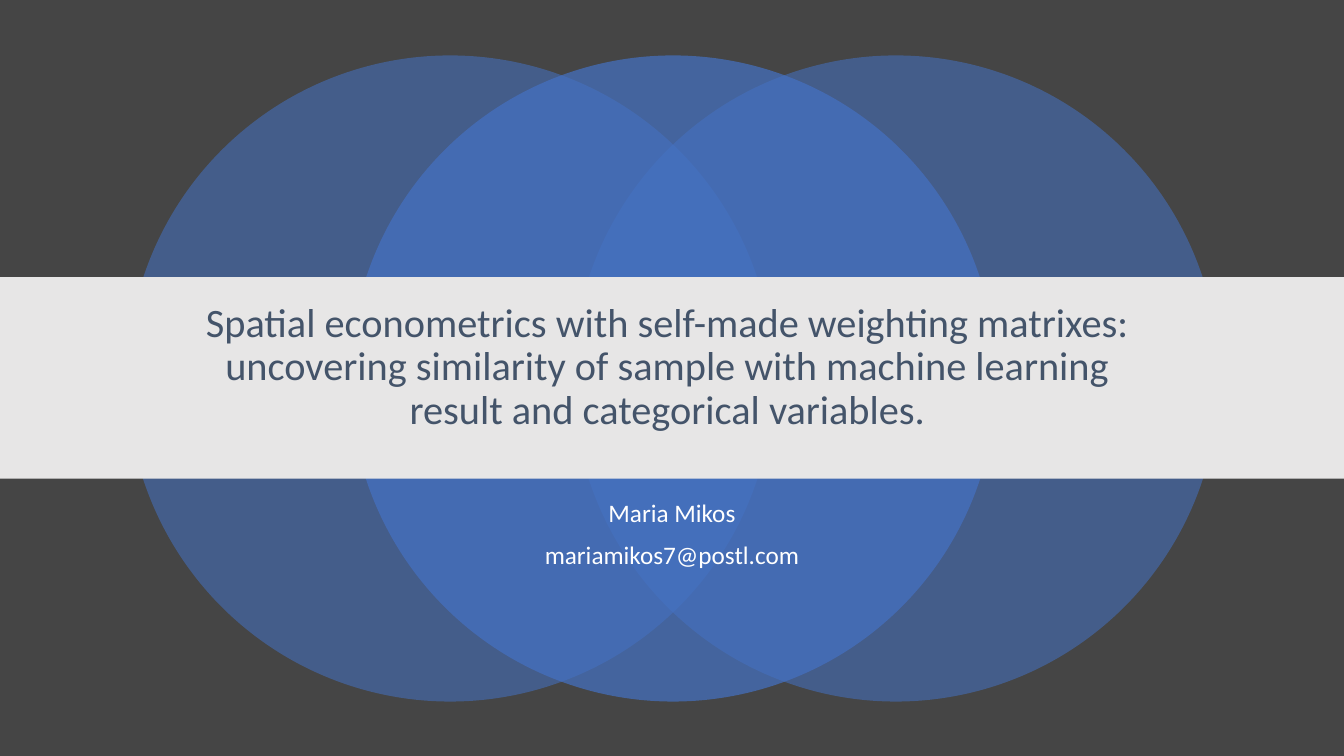
from lxml.etree import SubElement
from pptx import Presentation
from pptx.dml.color import RGBColor
from pptx.enum.shapes import MSO_SHAPE as Shape
from pptx.enum.text import MSO_ANCHOR as Anchor, MSO_AUTO_SIZE as AutoSize, PP_ALIGN as Align
from pptx.oxml.ns import qn
from pptx.util import Inches, Pt

WIDTH, HEIGHT = 13.33, 7.5
FONT = "Calibri"
DARK, BLUE, GREY, SLATE, WHITE = "454545", "4472C4", "E7E6E6", "44546A", "FFFFFF"

TITLE = ("Spatial econometrics with self-made weighting matrixes: \v"
         "uncovering similarity of sample with machine learning \v"
         "result and categorical variables. ")
AUTHOR = "Maria Mikos\nmariamikos7@postl.com"


def paint(fill, color, opacity=100):
    """Make a fill solid in a hex colour, with opacity in percent."""
    fill.solid()
    fill.fore_color.rgb = RGBColor.from_string(color)
    if opacity < 100:
        tint = fill._xPr.find(qn("a:solidFill"))[0]
        SubElement(tint, qn("a:alpha"), val=str(opacity * 1000))


def add_block(page, kind, box, color, opacity=100):
    """Add a plain borderless shape in a box of inches."""
    block = page.shapes.add_shape(kind, *map(Inches, box))
    block.shadow.inherit = False
    block.line.fill.background()
    paint(block.fill, color, opacity)


def fill_placeholder(holder, box, text, size, color, anchor, before=0):
    """Place a placeholder in front of the shapes and set its centred text."""
    holder.left, holder.top, holder.width, holder.height = map(Inches, box)
    holder.element.getparent().append(holder.element)
    frame = holder.text_frame
    frame.text = text
    frame.word_wrap = True
    frame.auto_size = AutoSize.NONE
    frame.vertical_anchor = anchor
    for para in frame.paragraphs:
        para.alignment = Align.CENTER
        para.line_spacing = 0.9
        para.space_before = Pt(before)
        for span in para.runs:
            span.font.name = FONT
            span.font.size = Pt(size)
            paint(span.font.fill, color)


def draw_circles(page, box):
    """Overlap three circles across a box, the middle one in front."""
    left, top, width, size = box
    step = (width - size) / 2
    for column, opacity in ((0, 55), (2, 55), (1, 70)):
        circle = (left + column * step, top, size, size)
        add_block(page, Shape.OVAL, circle, BLUE, opacity)


def draw_title_band(page, box):
    """Lay the title on a full-width band."""
    left, top, width, height = box
    add_block(page, Shape.RECTANGLE, box, GREY)
    title_box = (left + width / 8, top, width * 3 / 4, height * 0.9)
    fill_placeholder(page.shapes.title, title_box, TITLE, 28.8, SLATE, Anchor.MIDDLE)


def draw_author(page, box):
    """Write the author's name and address in the subtitle."""
    fill_placeholder(page.placeholders[1], box, AUTHOR, 18, WHITE, Anchor.TOP, before=10)


def build_cover(deck):
    """Build the cover page."""
    page = deck.slides.add_slide(deck.slide_layouts[0])
    paint(page.background.fill, DARK)
    draw_circles(page, (1.26, 0.55, 10.83, 6.41))
    draw_author(page, (WIDTH / 8, 4.92, WIDTH * 3 / 4, 0.83))
    draw_title_band(page, (0, 2.75, WIDTH, 2))


deck = Presentation()
deck.slide_width, deck.slide_height = Inches(WIDTH), Inches(HEIGHT)
build_cover(deck)
deck.save("out.pptx")
